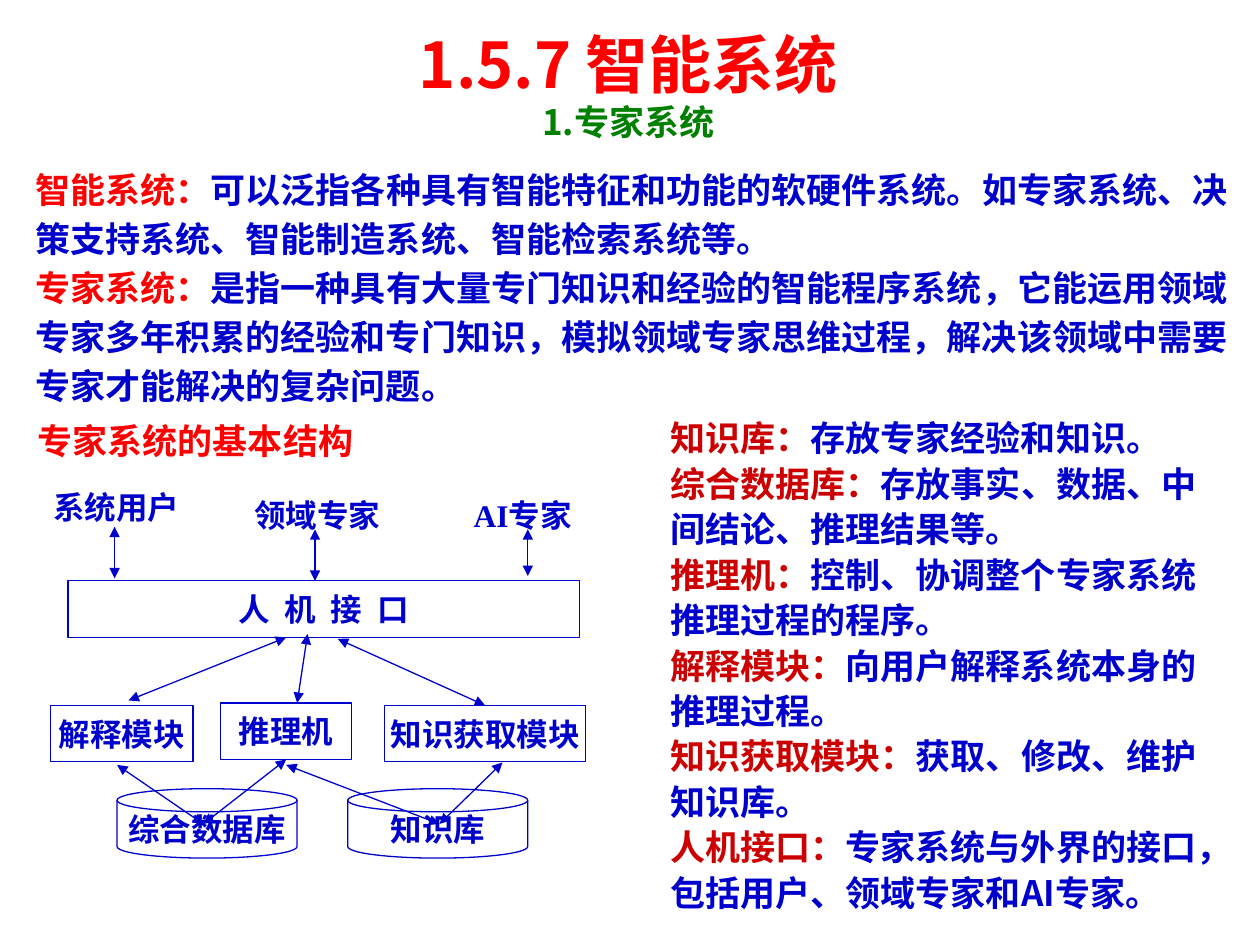
from lxml import etree
from pptx import Presentation
from pptx.dml.color import RGBColor
from pptx.enum.shapes import MSO_CONNECTOR, MSO_SHAPE
from pptx.enum.text import MSO_ANCHOR, MSO_AUTO_SIZE, PP_ALIGN
from pptx.oxml.ns import qn
from pptx.util import Cm, Pt

RED = RGBColor(0xFF, 0x00, 0x00)
DARK_RED = RGBColor(0xCC, 0x00, 0x00)
BLUE = RGBColor(0x00, 0x00, 0xCC)
GREEN = RGBColor(0x00, 0x80, 0x00)
WHITE = RGBColor(0xFF, 0xFF, 0xFF)
SERIF = "Times New Roman"
SANS = "Noto Sans CJK SC"

DEFINITIONS = [
    ("智能系统：", "可以泛指各种具有智能特征和功能的软硬件系统。如专家系统、决策支持系统、"
     "智能制造系统、智能检索系统等。"),
    ("专家系统：", "是指一种具有大量专门知识和经验的智能程序系统，它能运用领域专家多年积累的"
     "经验和专门知识，模拟领域专家思维过程，解决该领域中需要专家才能解决的复杂问题。"),
]
COMPONENTS = [
    ("知识库：", "存放专家经验和知识。"),
    ("综合数据库：", "存放事实、数据、中间结论、推理结果等。"),
    ("推理机：", "控制、协调整个专家系统推理过程的程序。"),
    ("解释模块：", "向用户解释系统本身的推理过程。"),
    ("知识获取模块：", "获取、修改、维护知识库。"),
    ("人机接口：", "专家系统与外界的接口，包括用户、领域专家和AI专家。"),
]


def format_run(run, size, color, font_name):
    run.font.size = Pt(size)
    run.font.bold = True
    run.font.color.rgb = color
    run.font.name = font_name
    east_asian = etree.SubElement(run._r.get_or_add_rPr(), qn("a:ea"))
    east_asian.set("typeface", SANS)


def place(shape, box):
    shape.left, shape.top, shape.width, shape.height = (Cm(length) for length in box)


def add_title(slide, box):
    title = slide.shapes.title
    place(title, box)
    frame = title.text_frame
    frame.text = "1.5.7 智能系统\n1.专家系统"
    frame.vertical_anchor = MSO_ANCHOR.TOP
    frame.auto_size = MSO_AUTO_SIZE.NONE
    for paragraph, size, color in zip(frame.paragraphs, (36, 20), (RED, GREEN)):
        paragraph.alignment = PP_ALIGN.CENTER
        format_run(paragraph.runs[0], size, color, SANS)


def fill_term_list(placeholder, box, entries, term_color, font_name, line_pitch):
    """Write each term and its explanation as one unbulleted paragraph."""
    place(placeholder, box)
    frame = placeholder.text_frame
    frame.auto_size = MSO_AUTO_SIZE.NONE
    for index, (term, explanation) in enumerate(entries):
        paragraph = frame.add_paragraph() if index else frame.paragraphs[0]
        properties = paragraph._p.get_or_add_pPr()
        properties.set("marL", "0")
        properties.set("indent", "0")
        etree.SubElement(properties, qn("a:buNone"))
        paragraph.space_before = Pt(0)
        paragraph.line_spacing = Pt(line_pitch)
        for text, color in ((term, term_color), (explanation, BLUE)):
            run = paragraph.add_run()
            run.text = text
            format_run(run, 20, color, font_name)


def add_diagram_heading(slide, box):
    heading = slide.shapes.add_textbox(*(Cm(length) for length in box))
    heading.text_frame.word_wrap = True
    paragraph = heading.text_frame.paragraphs[0]
    paragraph.text = "专家系统的基本结构"
    paragraph.line_spacing = Pt(28)
    format_run(paragraph.runs[0], 20, RED, SERIF)


def add_node(slide, kind, box, text, font_name=SERIF):
    shape = slide.shapes.add_shape(kind, *(Cm(length) for length in box))
    shape.shadow.inherit = False
    shape.fill.solid()
    shape.fill.fore_color.rgb = WHITE
    shape.line.color.rgb = BLUE
    shape.line.width = Pt(0.75)
    frame = shape.text_frame
    frame.margin_left = frame.margin_right = Cm(0.05)
    frame.margin_top = frame.margin_bottom = Cm(0.03)
    frame.vertical_anchor = MSO_ANCHOR.MIDDLE
    frame.word_wrap = True
    paragraph = frame.paragraphs[0]
    paragraph.text = text
    paragraph.alignment = PP_ALIGN.CENTER
    format_run(paragraph.runs[0], 18, BLUE, font_name)
    return shape


def add_label(slide, box, text):
    label = add_node(slide, MSO_SHAPE.RECTANGLE, box, text)
    label.line.fill.background()
    label.text_frame.vertical_anchor = MSO_ANCHOR.TOP
    label.text_frame.paragraphs[0].alignment = PP_ALIGN.JUSTIFY


def add_disk(slide, box, text):
    disk = add_node(slide, MSO_SHAPE.FLOWCHART_MAGNETIC_DISK, box, text, SANS)
    disk.fill.background()
    disk.text_frame.word_wrap = False


def add_double_arrow(slide, start, end):
    arrow = slide.shapes.add_connector(
        MSO_CONNECTOR.STRAIGHT, *(Cm(length) for length in (*start, *end)))
    arrow.line.color.rgb = BLUE
    arrow.line.width = Pt(0.75)
    line = arrow.line._get_or_add_ln()
    for end_name in ("a:headEnd", "a:tailEnd"):
        etree.SubElement(line, qn(end_name)).set("type", "triangle")
    etree.SubElement(arrow._element.spPr, qn("a:effectLst"))
    return arrow


def add_structure_diagram(slide, left, top):
    def at(x, y, *size):
        return (left + x, top + y, *size)

    def arrow(start, end):
        return add_double_arrow(slide, at(*start), at(*end))

    def module(x, y, width, text):
        return add_node(slide, MSO_SHAPE.RECTANGLE, at(x, y, width, 1.14), text)

    interface = module(0.37, 1.91, 10.31, "人 机 接 口")
    spaced_run = interface.text_frame.paragraphs[0].runs[0]
    spaced_run._r.get_or_add_rPr().set("spc", "225")
    inference = module(3.45, 4.37, 2.64, "推理机")
    acquisition = module(6.75, 4.42, 4.06, "知识获取模块")
    module(0.02, 4.42, 2.87, "解释模块")

    add_label(slide, at(0.02, 0, 2.87, 0.71), "系统用户")
    add_label(slide, at(4.08, 0.16, 2.87, 0.91), "领域专家")
    add_label(slide, at(8.5, 0.16, 2.44, 0.81), "AI专家")

    for x, start_y, end_y in ((1.31, 0.82, 1.86), (5.35, 0.87, 1.91), (9.64, 0.87, 1.81)):
        arrow((x, start_y), (x, end_y))

    arrow((4.77, 3.05), (1.59, 4.32))
    arrow((5.2, 2.98), (4.99, 4.37))
    arrow((5.81, 3.08), (8.78, 4.42)).end_connect(acquisition, 0)

    database_center, knowledge_center = (3.1, 6.81), (7.86, 6.81)
    arrow((1.36, 5.62), database_center)
    arrow((4.77, 5.51), database_center).begin_connect(inference, 2)
    arrow((9.13, 5.57), knowledge_center)
    arrow((4.77, 5.62), knowledge_center)

    for x, text in ((1.36, "综合数据库"), (6.01, "知识库")):
        add_disk(slide, at(x, 6.1, 3.63, 1.4), text)


def main():
    presentation = Presentation()
    presentation.slide_width, presentation.slide_height = Cm(25.4), Cm(19.05)
    two_content_layout = presentation.slide_layouts[3]
    slide = presentation.slides.add_slide(two_content_layout)
    add_title(slide, (0.46, 0.38, 24.41, 2.64))
    fill_term_list(slide.placeholders[1], (0.46, 3.12, 24.74, 5.23),
                   DEFINITIONS, RED, SERIF, 28)
    fill_term_list(slide.placeholders[2], (13.26, 8.2, 11.61, 10.34),
                   COMPONENTS, DARK_RED, SANS, 26)
    add_diagram_heading(slide, (0.51, 8.2, 7.24, 1.24))
    add_structure_diagram(slide, 1, 9.8)
    presentation.save("out.pptx")


if __name__ == "__main__":
    main()
